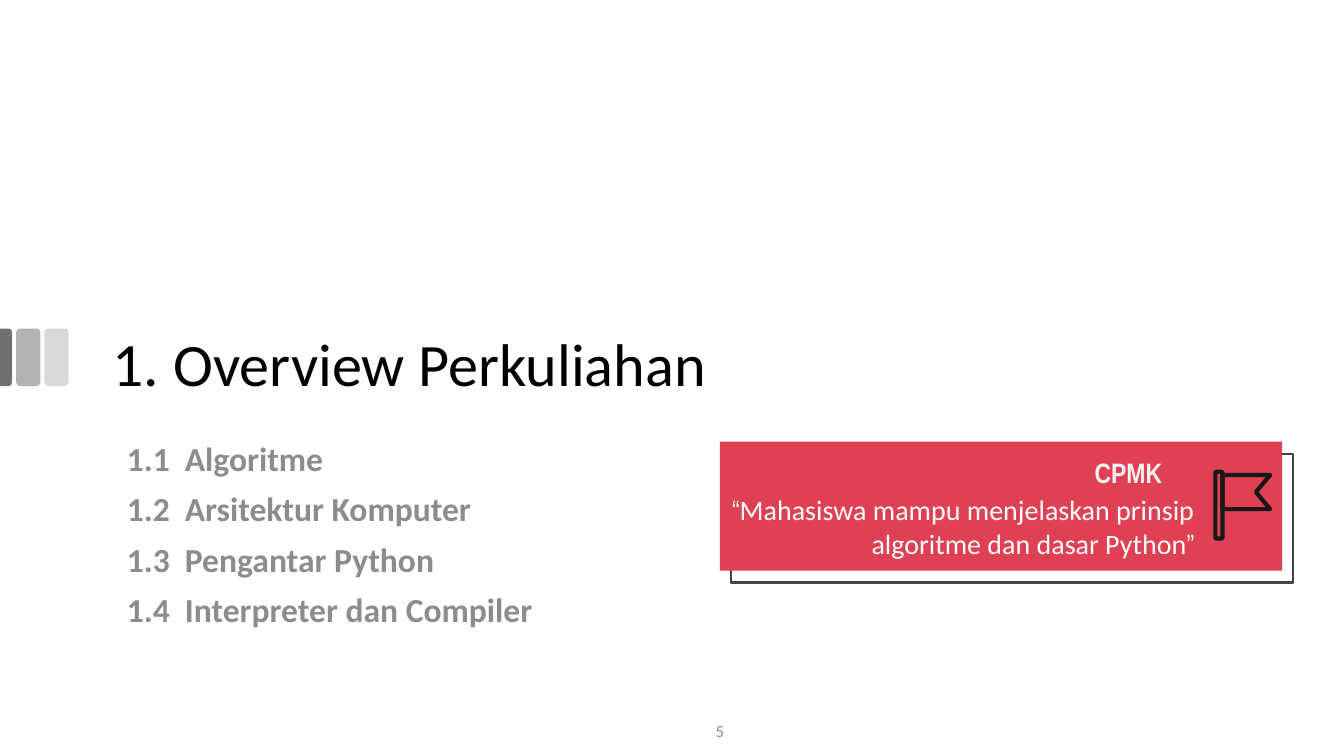
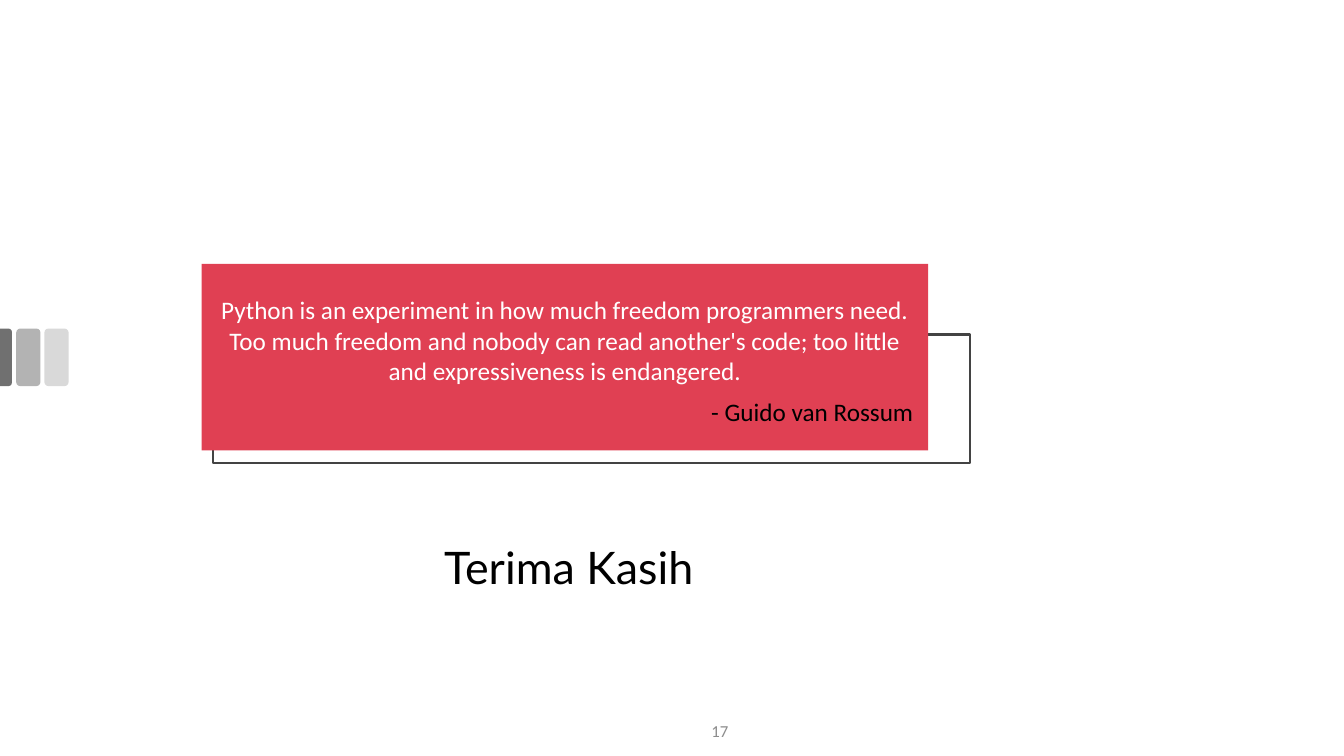
from dataclasses import dataclass

from lxml.etree import SubElement
from pptx import Presentation
from pptx.dml.color import RGBColor
from pptx.enum.shapes import MSO_SHAPE
from pptx.enum.text import MSO_ANCHOR, MSO_AUTO_SIZE, PP_ALIGN
from pptx.oxml.ns import qn
from pptx.presentation import Presentation as Deck
from pptx.shapes.autoshape import Shape
from pptx.slide import Slide
from pptx.util import Cm, Pt

COLORS = {
    "black": "000000",
    "white": "FFFFFF",
    "label": "F4F2F2",
    "grey": "8C8C8C",
    "panel": "E04053",
    "frame": "434343",
    "flag": "181717",
    "bar_dark": "707070",
    "bar_middle": "B3B3B3",
    "bar_light": "D9D9D9",
}
BODY_FONT = "Calibri"
LABEL_FONT = "Arial Narrow"
CLOSING_FONT = "Lato"
TITLE_ONLY = 5
BAR_TOP, BAR_WIDTH, BAR_HEIGHT, BAR_STEP = 8.28, 0.61, 1.45, 0.71
EDGE_BAR_WIDTH = 0.3


@dataclass(frozen=True)
class Box:
    left: float
    top: float
    width: float
    height: float

    def lengths(self) -> tuple[Cm, Cm, Cm, Cm]:
        return Cm(self.left), Cm(self.top), Cm(self.width), Cm(self.height)


@dataclass(frozen=True)
class Piece:
    text: str
    font: str = BODY_FONT
    size: float = 20


@dataclass(frozen=True)
class Style:
    color: str
    align: PP_ALIGN = PP_ALIGN.LEFT
    anchor: MSO_ANCHOR = MSO_ANCHOR.TOP
    bold: bool = False
    inset: float = 0.25
    line_spacing: float = 1.0
    space_before: float = 0
    hanging: float = 0


def color(name: str) -> RGBColor:
    return RGBColor.from_string(COLORS[name])


def write(shape: Shape, paragraphs: list[list[Piece]], style: Style) -> None:
    frame = shape.text_frame
    frame.word_wrap = True
    frame.auto_size = MSO_AUTO_SIZE.NONE
    frame.vertical_anchor = style.anchor
    frame.margin_left = frame.margin_right = Cm(0.25)
    frame.margin_top = frame.margin_bottom = Cm(style.inset)
    for index, pieces in enumerate(paragraphs):
        paragraph = frame.add_paragraph() if index else frame.paragraphs[0]
        paragraph.alignment = style.align
        paragraph.line_spacing = style.line_spacing
        paragraph.space_before = Pt(style.space_before)
        if style.hanging:
            properties = paragraph._p.get_or_add_pPr()
            properties.set("marL", str(Cm(style.hanging)))
            properties.set("indent", str(-Cm(style.hanging)))
        for piece in pieces:
            run = paragraph.add_run()
            run.text = piece.text
            run.font.name = piece.font
            run.font.size = Pt(piece.size)
            run.font.bold = style.bold
            run.font.color.rgb = color(style.color)


def add_text(slide: Slide, box: Box, paragraphs: list[list[Piece]], style: Style) -> None:
    write(slide.shapes.add_textbox(*box.lengths()), paragraphs, style)


def set_title(slide: Slide, box: Box, pieces: list[Piece], style: Style) -> None:
    title = slide.shapes.title
    title.left, title.top, title.width, title.height = box.lengths()
    write(title, [pieces], style)


def add_filled(slide: Slide, kind: MSO_SHAPE, box: Box, fill: str) -> Shape:
    shape = slide.shapes.add_shape(kind, *box.lengths())
    shape.shadow.inherit = False
    shape.fill.solid()
    shape.fill.fore_color.rgb = color(fill)
    shape.line.fill.background()
    return shape


def outline(shape: Shape, line_color: str, width: float) -> None:
    shape.shadow.inherit = False
    shape.fill.background()
    shape.line.color.rgb = color(line_color)
    shape.line.width = Pt(width)
    SubElement(shape.line._get_or_add_ln(), qn("a:round"))


def add_panel(slide: Slide, frame: Box, panel: Box) -> None:
    outline(slide.shapes.add_shape(MSO_SHAPE.RECTANGLE, *frame.lengths()), "frame", 1.5)
    add_filled(slide, MSO_SHAPE.RECTANGLE, panel, "panel")


def add_flag(slide: Slide, left: float, top: float) -> None:
    pole = Box(left, top, 0.18, 1.68)
    outline(slide.shapes.add_shape(MSO_SHAPE.ROUNDED_RECTANGLE, *pole.lengths()), "flag", 3)
    start = left + pole.width
    corners = [(1.2, 0.08), (0.84, 0.51), (1.2, 0.94), (0, 0.94)]
    builder = slide.shapes.build_freeform(Cm(start), Cm(top + 0.08))
    builder.add_line_segments([(Cm(start + x), Cm(top + y)) for x, y in corners])
    outline(builder.convert_to_shape(), "flag", 3)


def add_slide(presentation: Deck, number: int) -> Slide:
    slide = presentation.slides.add_slide(presentation.slide_layouts[TITLE_ONLY])
    for index, fill in enumerate(("bar_middle", "bar_light")):
        bar = Box(0.41 + index * BAR_STEP, BAR_TOP, BAR_WIDTH, BAR_HEIGHT)
        add_filled(slide, MSO_SHAPE.ROUNDED_RECTANGLE, bar, fill)
    edge_box = Box(
        (EDGE_BAR_WIDTH - BAR_HEIGHT) / 2,
        BAR_TOP + (BAR_HEIGHT - EDGE_BAR_WIDTH) / 2,
        BAR_HEIGHT,
        EDGE_BAR_WIDTH,
    )
    edge = add_filled(slide, MSO_SHAPE.ROUND_2_SAME_RECTANGLE, edge_box, "bar_dark")
    edge.adjustments[0] = 0.29
    edge.rotation = 90
    add_text(
        slide,
        Box(14.33, 17.91, 7.62, 1.02),
        [[Piece(str(number), size=12)]],
        Style("grey", PP_ALIGN.CENTER, MSO_ANCHOR.MIDDLE, inset=0.13),
    )
    return slide


def build_overview(presentation: Deck) -> None:
    slide = add_slide(presentation, 5)
    set_title(
        slide,
        Box(2.59, 7.67, 29.21, 2.54),
        [Piece("1. ", size=44), Piece("Overview Perkuliahan", size=43)],
        Style("black", anchor=MSO_ANCHOR.BOTTOM, inset=0.13, line_spacing=0.9),
    )
    topics = ["Algoritme", "Arsitektur Komputer", "Pengantar Python", "Interpreter dan Compiler"]
    add_text(
        slide,
        Box(2.95, 11.02, 15.2, 5.51),
        [[Piece(f"1.{index}\t{topic}", size=24)] for index, topic in enumerate(topics, 1)],
        Style("grey", bold=True, inset=0.13, line_spacing=0.9, space_before=10, hanging=1.46),
    )
    add_panel(slide, Box(18.42, 11.43, 14.17, 3.25), Box(18.14, 11.13, 14.17, 3.25))
    add_text(
        slide,
        Box(18.08, 12.17, 12.27, 2.18),
        [[
            Piece("“", LABEL_FONT),
            Piece("Mahasiswa mampu menjelaskan prinsip algoritme dan dasar Python"),
            Piece("”", LABEL_FONT),
        ]],
        Style("white", PP_ALIGN.RIGHT),
    )
    add_text(
        slide,
        Box(20.62, 11.02, 8.92, 1.55),
        [[Piece("CPMK", LABEL_FONT)]],
        Style("label", PP_ALIGN.RIGHT, MSO_ANCHOR.BOTTOM, bold=True),
    )
    add_flag(slide, 30.63, 11.89)


def build_closing(presentation: Deck) -> None:
    slide = add_slide(presentation, 17)
    add_panel(slide, Box(5.36, 8.43, 19.08, 3.25), Box(5.08, 6.65, 18.31, 4.7))
    quote = (
        "Python is an experiment in how much freedom programmers need. "
        "Too much freedom and nobody can read another's code; "
        "too little and expressiveness is endangered."
    )
    add_text(
        slide,
        Box(5.08, 7.06, 18.31, 2.9),
        [[Piece(quote, size=18)]],
        Style("white", PP_ALIGN.CENTER, MSO_ANCHOR.BOTTOM),
    )
    add_text(
        slide,
        Box(17.55, 9.93, 5.84, 1.07),
        [[Piece("- Guido van Rossum", size=18)]],
        Style("black", PP_ALIGN.CENTER, MSO_ANCHOR.BOTTOM),
    )
    set_title(
        slide,
        Box(9.14, 12.55, 10.39, 3.43),
        [Piece("Terima Kasih", CLOSING_FONT, 32)],
        Style("black", PP_ALIGN.CENTER, MSO_ANCHOR.MIDDLE),
    )


def main() -> None:
    presentation = Presentation()
    presentation.slide_width = Cm(33.87)
    presentation.slide_height = Cm(19.05)
    build_overview(presentation)
    build_closing(presentation)
    presentation.save("out.pptx")


if __name__ == "__main__":
    main()
